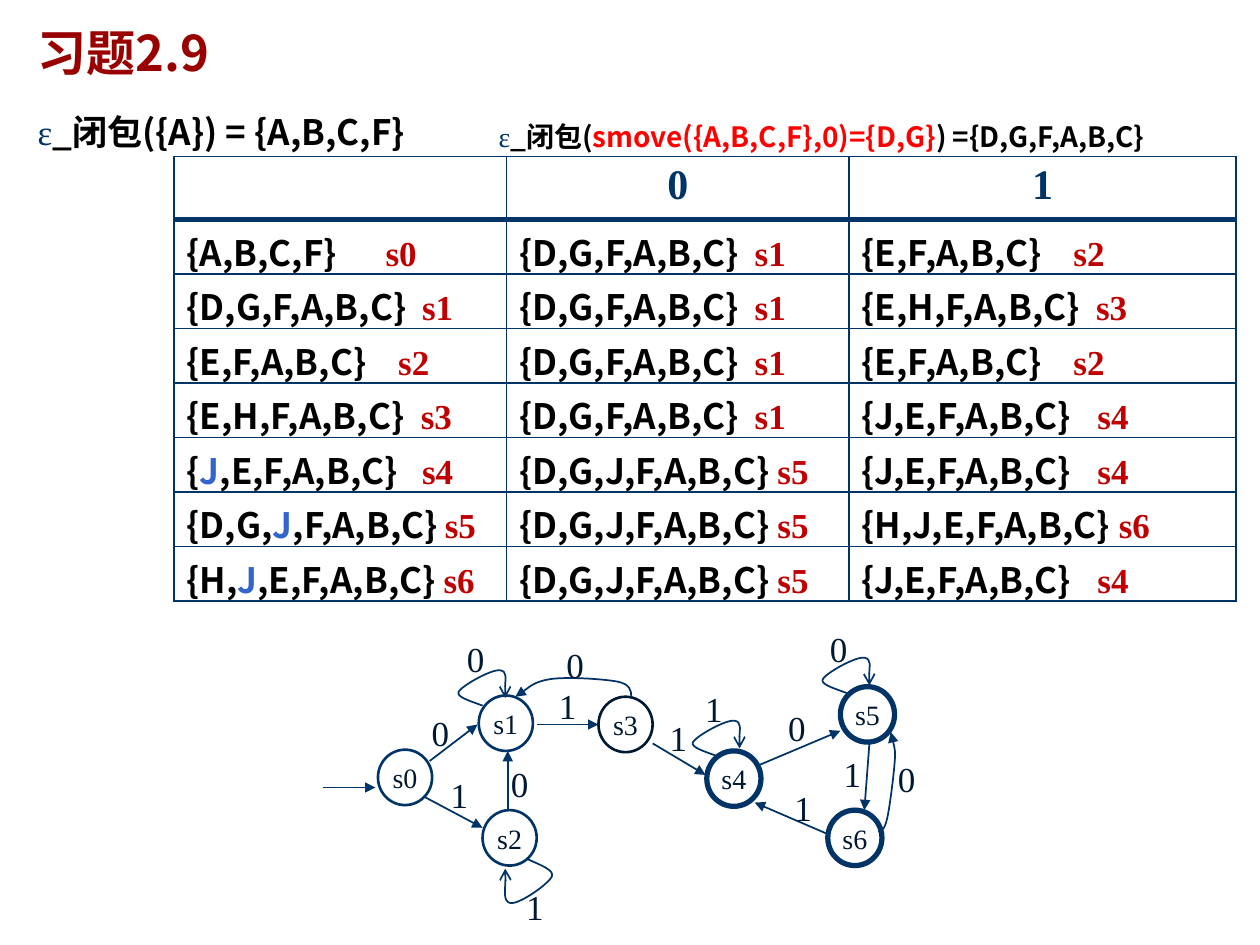
from lxml.etree import SubElement
from pptx import Presentation
from pptx.dml.color import RGBColor
from pptx.enum.shapes import MSO_CONNECTOR, MSO_SHAPE
from pptx.enum.text import MSO_ANCHOR, PP_ALIGN
from pptx.oxml.ns import qn
from pptx.util import Cm, Pt

COLORS = {"navy": "003366", "ink": "001933", "title": "990000", "black": "000000",
          "red": "FF0000", "state": "C00000", "accept": "3366CC", "white": "FFFFFF"}
SANS, SERIF = "Noto Sans CJK SC", "Times New Roman"

HEADINGS = [
    ((0.2, 0.13, 8.5, 0.56), 28, 1, MSO_ANCHOR.MIDDLE, [("习题2.9", SANS, "title", True)]),
    ((0.2, 0.76, 3.62, 0.5), 20, 1.2, MSO_ANCHOR.TOP,
     [("ε", SERIF, "navy", False), ("_闭包({A}) = {A,B,C,F}", SANS, "black", True)]),
    ((3.86, 0.85, 5.71, 0.42), 16, 1.2, MSO_ANCHOR.TOP,
     [("ε", SERIF, "navy", False), ("_闭包(", SANS, "black", True),
      ("smove({A,B,C,F},0)={D,G}", SANS, "red", True),
      (") ={D,G,F,A,B,C}", SANS, "black", True)]),
]

STATES = {
    "s0": ("{A,B,C,F}", 1.58, (3, 5.95)),
    "s1": ("{D,G,F,A,B,C}", 1.87, (3.8, 5.52)),
    "s2": ("{E,F,A,B,C}", 1.68, (3.83, 6.43)),
    "s3": ("{E,H,F,A,B,C}", 1.86, (4.75, 5.53)),
    "s4": ("{J,E,F,A,B,C}", 1.87, (5.61, 5.96)),
    "s5": ("{D,G,J,F,A,B,C}", 2.05, (6.67, 5.45)),
    "s6": ("{H,J,E,F,A,B,C}", 2.04, (6.57, 6.43)),
}
TRANSITIONS = [("s0", "s1", "s2"), ("s1", "s1", "s3"), ("s2", "s1", "s2"), ("s3", "s1", "s4"),
               ("s4", "s5", "s4"), ("s5", "s5", "s6"), ("s6", "s5", "s4")]
TABLE_HEADER = ("", "0", "1")
COLUMN_WIDTHS = (2.64, 2.72, 3.07)
HEADER_HEIGHT, ROW_HEIGHT = 0.5, 0.433

ARROWS = [(2.56, 6.25, 2.98, 6.25), (3.41, 6.04, 3.79, 5.75), (3.36, 6.32, 3.83, 6.57),
          (4.26, 5.75, 4.75, 5.75), (6.9, 5.9, 6.86, 6.43), (5.18, 5.9, 5.6, 6.15),
          (6.03, 6.07, 6.67, 5.8), (4.03, 6.44, 4.03, 5.96), (6.57, 6.62, 5.99, 6.37)]
ARCS = [
    [(5.01, 5.53), (5.01, 5.48), (5, 5.43), (4.9, 5.41), (4.79, 5.39), (4.51, 5.37),
     (4.37, 5.39), (4.24, 5.41), (4.14, 5.5), (4.09, 5.53)],
    [(6.97, 6.6), (6.99, 6.6), (7.02, 6.59), (7.04, 6.5), (7.06, 6.42), (7.09, 6.18),
     (7.1, 6.06), (7.11, 5.95), (7.08, 5.85), (7.07, 5.81)],
]
LOOP = [(0, 0), (-0.11, -0.04), (-0.21, -0.07), (-0.19, -0.11), (-0.16, -0.16),
        (0.07, -0.29), (0.14, -0.28), (0.2, -0.27), (0.17, -0.1), (0.18, -0.06)]
LOOP_STARTS = [(3.83, 5.6, 1, 1), (4.19, 6.82, -1, -1.24), (5.69, 6, 1, 1), (6.72, 5.5, 1, 1)]
EDGE_LABELS = {
    "0": [(3.32, 5.6), (3.95, 6), (3.6, 5.01), (4.39, 5.06), (6.15, 5.56), (6.48, 4.93),
          (7.02, 5.96)],
    "1": [(4.33, 5.38), (6.2, 6.19), (5.21, 5.64), (3.47, 6.09), (4.07, 6.98), (6.59, 5.92),
          (5.49, 5.41)],
}


def inches(value):
    return Cm(value * 2.54)


def color(name):
    return RGBColor.from_string(COLORS[name])


def write_text(frame, runs, size, align=PP_ALIGN.LEFT, anchor=MSO_ANCHOR.TOP, spacing=1):
    frame.word_wrap = True
    frame.vertical_anchor = anchor
    paragraph = frame.paragraphs[0]
    paragraph.alignment = align
    paragraph.line_spacing = spacing
    for text, font, color_name, bold in runs:
        run = paragraph.add_run()
        run.text = text
        run.font.size = Pt(size)
        run.font.name = font
        run.font.bold = bold
        run.font.color.rgb = color(color_name)
        SubElement(run.font._element, qn("a:ea"), typeface=font)
    return paragraph


def add_text_box(box, *arguments, **options):
    shape = slide.shapes.add_textbox(*map(inches, box))
    write_text(shape.text_frame, *arguments, **options)


def style_line(shape, arrowhead):
    shape.line.color.rgb = color("navy")
    shape.line.width = Pt(1)
    SubElement(shape.line._get_or_add_ln(), qn("a:tailEnd"), type=arrowhead)


def add_curve(points, arrowhead):
    scaled = [(inches(x), inches(y)) for x, y in points]
    builder = slide.shapes.build_freeform(*scaled[0])
    builder.add_line_segments(scaled[1:], close=False)
    shape = builder.convert_to_shape()
    shape.shadow.inherit = False
    shape.fill.background()
    style_line(shape, arrowhead)
    segments = list(shape._element.iter(qn("a:lnTo")))
    outline = segments[0].getparent()
    for start in range(0, len(segments), 3):
        curve = SubElement(outline, qn("a:cubicBezTo"))
        for segment in segments[start:start + 3]:
            curve.append(segment[0])
            outline.remove(segment)


def style_cell(cell, top, bottom):
    properties = cell._tc.get_or_add_tcPr()
    for side, width in (("L", 1), ("R", 1), ("T", top), ("B", bottom)):
        line = SubElement(properties, qn(f"a:ln{side}"), w=str(Pt(width)))
        SubElement(SubElement(line, qn("a:solidFill")), qn("a:srgbClr"), val=COLORS["navy"])
    cell.fill.solid()
    cell.fill.fore_color.rgb = color("white")


def add_transition_table():
    height = HEADER_HEIGHT + ROW_HEIGHT * len(TRANSITIONS)
    box = (1.38, 1.24, sum(COLUMN_WIDTHS), height)
    table = slide.shapes.add_table(len(TRANSITIONS) + 1, 3, *map(inches, box)).table
    table.first_row = table.horz_banding = False
    for column, width in zip(table.columns, COLUMN_WIDTHS):
        column.width = inches(width)
    for index, row in enumerate(table.rows):
        row.height = inches(ROW_HEIGHT if index else HEADER_HEIGHT)
    for column, text in enumerate(TABLE_HEADER):
        cell = table.cell(0, column)
        style_cell(cell, 1, 3)
        if text:
            write_text(cell.text_frame, [(text, SERIF, "navy", True)], 24, PP_ALIGN.CENTER)
    for row, names in enumerate(TRANSITIONS, 1):
        for column, name in enumerate(names):
            cell = table.cell(row, column)
            style_cell(cell, 3 if row == 1 else 1, 1)
            cell.margin_top, cell.margin_bottom = inches(0.05), 0
            members, tab, _ = STATES[name]
            before, accept, after = members.partition("J") if column == 0 else (members, "", "")
            parts = [(before, "black"), (accept, "accept"), (after, "black")]
            runs = [(text, SANS, shade, True) for text, shade in parts if text]
            runs.append(("\t" + name, SERIF, "state", True))
            paragraph = write_text(cell.text_frame, runs, 20)
            tabs = SubElement(paragraph._p.get_or_add_pPr(), qn("a:tabLst"))
            SubElement(tabs, qn("a:tab"), pos=str(inches(tab)), algn="l")


def add_state(name, position):
    shape = slide.shapes.add_shape(MSO_SHAPE.OVAL, *map(inches, (*position, 0.43, 0.44)))
    shape.shadow.inherit = False
    shape.fill.background()
    shape.line.color.rgb = color("ink" if name == "s3" else "navy")
    shape.line.width = Pt(3 if "J" in STATES[name][0] else 1.5)
    frame = shape.text_frame
    frame.margin_left = frame.margin_right = 0
    frame.margin_top = frame.margin_bottom = inches(0.02)
    write_text(frame, [(name, SERIF, "ink", False)], 16, PP_ALIGN.CENTER, MSO_ANCHOR.MIDDLE)


presentation = Presentation()
presentation.slide_width, presentation.slide_height = inches(10), inches(7.5)
slide = presentation.slides.add_slide(presentation.slide_layouts[6])

for box, size, spacing, anchor, runs in HEADINGS:
    add_text_box(box, runs, size, anchor=anchor, spacing=spacing)
add_transition_table()
for name, (_, _, position) in STATES.items():
    add_state(name, position)
for ends in ARROWS:
    arrow = slide.shapes.add_connector(MSO_CONNECTOR.STRAIGHT, *map(inches, ends))
    style_line(arrow, "triangle")
    SubElement(arrow._element.spPr, qn("a:effectLst"))
for points in ARCS:
    add_curve(points, "triangle")
for left, top, scale_x, scale_y in LOOP_STARTS:
    add_curve([(left + x * scale_x, top + y * scale_y) for x, y in LOOP], "arrow")
for text, positions in EDGE_LABELS.items():
    for position in positions:
        add_text_box((*position, 0.35, 0.44), [(text, SERIF, "ink", False)], 20, PP_ALIGN.CENTER)
presentation.save("out.pptx")
